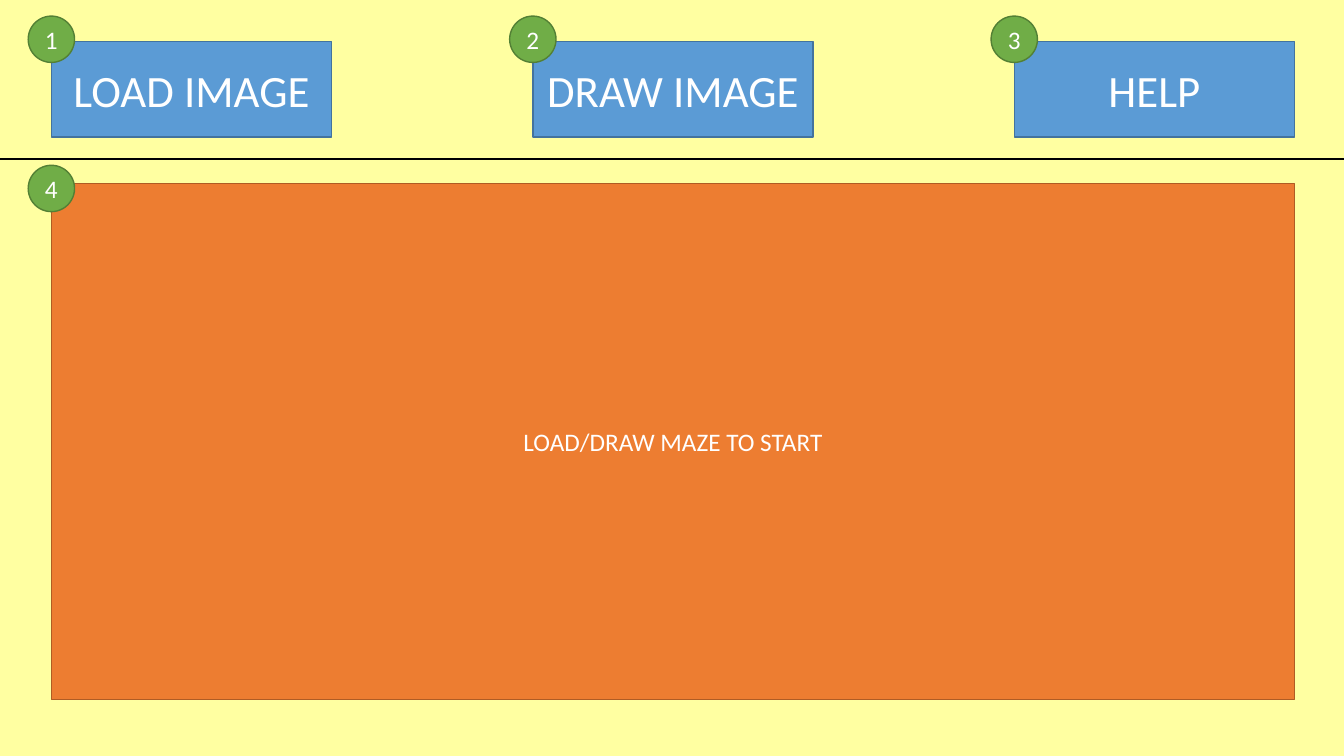
"""Build the maze app screen layout with numbered areas."""
from pptx import Presentation
from pptx.dml.color import RGBColor
from pptx.enum.shapes import MSO_CONNECTOR, MSO_SHAPE
from pptx.enum.text import MSO_ANCHOR, PP_ALIGN
from pptx.oxml.ns import qn
from pptx.util import Inches, Pt

RECTANGLE = MSO_SHAPE.RECTANGLE
OVAL = MSO_SHAPE.OVAL
STRAIGHT = MSO_CONNECTOR.STRAIGHT
MIDDLE = MSO_ANCHOR.MIDDLE
CENTER = PP_ALIGN.CENTER

SLIDE_WIDTH, SLIDE_HEIGHT = 13.33, 7.5
LEFT, CONTENT_WIDTH = 0.51, 12.33
BUTTON_WIDTH, BUTTON_HEIGHT, BUTTON_TOP = 2.78, 0.95, 0.41
BUTTON_STEP = (CONTENT_WIDTH - BUTTON_WIDTH) / 2
DIVIDER_TOP = 1.58
BADGE_SIZE = 0.46


def paint(color_format, color):
    color_format.rgb = RGBColor.from_string(color)


def add_label(kind, left, top, width, height, text, size, fill, outline):
    box = page.shapes.add_shape(
        kind, Inches(left), Inches(top), Inches(width), Inches(height))
    box.shadow.inherit = False
    box.fill.solid()
    paint(box.fill.fore_color, fill)
    paint(box.line.color, outline)
    box.line.width = Pt(1)
    frame = box.text_frame
    frame.word_wrap = True
    frame.vertical_anchor = MIDDLE
    frame.margin_left = frame.margin_right = 0
    para = frame.paragraphs[0]
    para.alignment = CENTER
    span = para.add_run()
    span.text = text
    span.font.name = "Calibri"
    span.font.size = Pt(size)
    paint(span.font.color, "FFFFFF")


deck = Presentation()
deck.slide_width = Inches(SLIDE_WIDTH)
deck.slide_height = Inches(SLIDE_HEIGHT)
page = deck.slides.add_slide(deck.slide_layouts[6])
page.background.fill.solid()
paint(page.background.fill.fore_color, "FFFFA1")

badge_spots = []
for index, caption in enumerate(["LOAD IMAGE", "DRAW IMAGE", "HELP"]):
    left = LEFT + index * BUTTON_STEP
    add_label(RECTANGLE, left, BUTTON_TOP, BUTTON_WIDTH, BUTTON_HEIGHT,
              caption, 32, "5B9BD5", "43739E")
    badge_spots.append((left, 0.16))

add_label(RECTANGLE, LEFT, 1.82, CONTENT_WIDTH, 5.12,
          "LOAD/DRAW MAZE TO START", 18, "ED7D31", "AF5C24")
badge_spots.append((LEFT, 1.64))

divider = page.shapes.add_connector(
    STRAIGHT, 0, Inches(DIVIDER_TOP), deck.slide_width, Inches(DIVIDER_TOP))
paint(divider.line.color, "000000")
divider.line.width = Pt(1.5)
properties = divider.element.spPr
properties.append(properties.makeelement(qn("a:effectLst"), {}))

for number, (corner, top) in enumerate(badge_spots, start=1):
    add_label(OVAL, corner - BADGE_SIZE / 2, top, BADGE_SIZE, BADGE_SIZE,
              str(number), 18, "70AD47", "538035")

deck.save("out.pptx")
